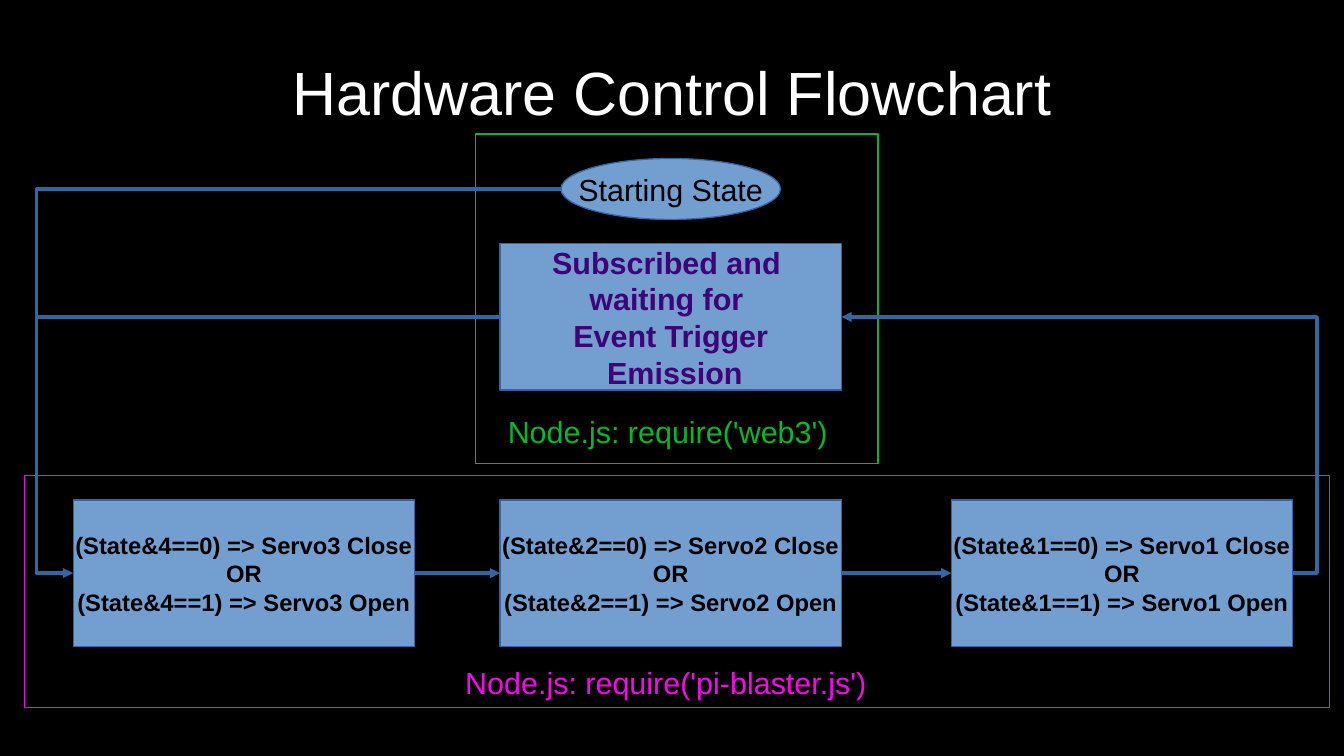
from dataclasses import dataclass

from lxml.etree import SubElement
from pptx import Presentation
from pptx.dml.color import RGBColor
from pptx.enum.shapes import MSO_CONNECTOR, MSO_SHAPE
from pptx.enum.text import MSO_ANCHOR, MSO_AUTO_SIZE, PP_ALIGN
from pptx.oxml.ns import qn
from pptx.util import Pt


@dataclass(frozen=True)
class Theme:
    font: str = "Arial"
    black: str = "000000"
    white: str = "FFFFFF"
    box: str = "729FCF"
    line: str = "3465A4"
    event: str = "410278"
    web: str = "02B82B"
    servo: str = "F809E9"
    title_size: int = 36
    body_size: int = 18
    servo_size: int = 14


THEME = Theme()
SLIDE_W, SLIDE_H = 793.44, 446.4
BOX_W, BOX_H = 201.6, 86.4
EVENT_X, EVENT_Y = 295.2, 144
SERVO_Y = 295.2
SERVO_XS = {3: 43.2, 2: EVENT_X, 1: 561.6}
SERVO_BITS = {3: 4, 2: 2, 1: 1}
START = (331.2, 93.6, 129.6, 36)
LEFT_RAIL, RIGHT_RAIL = 21.6, 777.6


def rgb(value):
    return RGBColor.from_string(value)


def apply(target, values):
    for name, value in values.items():
        setattr(target, name, value)


def write(tf, lines, size, color, bold=False, wrap=True, anchor=MSO_ANCHOR.TOP):
    apply(tf, {
        "auto_size": MSO_AUTO_SIZE.NONE, "word_wrap": wrap, "vertical_anchor": anchor,
        "margin_left": Pt(7.2), "margin_right": Pt(7.2),
        "margin_top": Pt(3.6), "margin_bottom": Pt(3.6),
    })
    for i, line in enumerate(lines):
        p = tf.paragraphs[0] if i == 0 else tf.add_paragraph()
        p.alignment = PP_ALIGN.CENTER
        r = p.add_run()
        r.text = line
        apply(r.font, {"name": THEME.font, "size": Pt(size), "bold": bold})
        r.font.color.rgb = rgb(color)


def add_title(s, text):
    sp = s.shapes.title
    apply(sp, {"left": Pt(0), "top": Pt(28.8), "width": Pt(SLIDE_W), "height": Pt(87.84)})
    write(sp.text_frame, [text], THEME.title_size, THEME.white)


def add_box(s, kind, bounds, fill, line):
    sp = s.shapes.add_shape(kind, *map(Pt, bounds))
    sp.shadow.inherit = False
    sp.fill.solid()
    sp.fill.fore_color.rgb = rgb(fill)
    sp.line.color.rgb = rgb(line)
    sp.line.width = Pt(0)
    return sp


def add_state(s, kind, bounds, lines, size, color, bold=True):
    sp = add_box(s, kind, bounds, THEME.box, THEME.line)
    write(sp.text_frame, lines, size, color, bold, wrap=False, anchor=MSO_ANCHOR.MIDDLE)
    return sp


def add_caption(s, text, top, width, color):
    sp = s.shapes.add_textbox(Pt(0), Pt(top), Pt(width), Pt(47.52))
    write(sp.text_frame, [text], THEME.body_size, color)


def add_line(s, start, end, kind=MSO_CONNECTOR.STRAIGHT, arrow=True):
    cxn = s.shapes.add_connector(kind, *map(Pt, start + end))
    cxn.line.color.rgb = rgb(THEME.line)
    cxn.line.width = Pt(0)
    if arrow:
        SubElement(cxn.line._get_or_add_ln(), qn("a:tailEnd"), type="triangle")
    SubElement(cxn._element.spPr, qn("a:effectLst"))
    return cxn


def add_elbow(s, start, end, rail):
    cxn = add_line(s, start, end, MSO_CONNECTOR.ELBOW)
    bend = round((rail - start[0]) / (end[0] - start[0]) * 100000)
    guides = cxn._element.spPr.find(qn("a:prstGeom")).get_or_add_avLst()
    SubElement(guides, qn("a:gd"), name="adj1", fmla=f"val {bend}")


def main():
    prs = Presentation()
    apply(prs, {"slide_width": Pt(SLIDE_W), "slide_height": Pt(SLIDE_H)})
    s = prs.slides.add_slide(prs.slide_layouts[5])
    s.background.fill.solid()
    s.background.fill.fore_color.rgb = rgb(THEME.black)
    add_title(s, "Hardware Control Flowchart")

    rect = MSO_SHAPE.RECTANGLE
    add_box(s, rect, (280.8, 79.2, 237.6, 194.4), THEME.black, THEME.web)
    add_box(s, rect, (14.4, 280.8, 770.4, 136.8), THEME.black, THEME.servo)

    event = add_state(
        s, rect, (EVENT_X, EVENT_Y, BOX_W, BOX_H),
        ["Subscribed and ", "waiting for ", "Event Trigger", " Emission"],
        THEME.body_size, THEME.event)
    add_state(s, MSO_SHAPE.OVAL, START, ["Starting State"],
              THEME.body_size, THEME.black, bold=False)
    servos = []
    for n, x in SERVO_XS.items():
        test = f"State&{SERVO_BITS[n]}"
        lines = [f"({test}==0) => Servo{n} Close", "OR", f"({test}==1) => Servo{n} Open"]
        servos.append(add_state(s, rect, (x, SERVO_Y, BOX_W, BOX_H), lines,
                                THEME.servo_size, THEME.black))

    servo_mid, event_mid = SERVO_Y + BOX_H / 2, EVENT_Y + BOX_H / 2
    add_elbow(s, (START[0], START[1] + START[3] / 2), (SERVO_XS[3], servo_mid), LEFT_RAIL)
    add_elbow(s, (SERVO_XS[1] + BOX_W, servo_mid), (EVENT_X + BOX_W, event_mid), RIGHT_RAIL)
    for a, b in zip(servos, servos[1:]):
        cxn = add_line(s, (0, servo_mid), (0, servo_mid))
        cxn.begin_connect(a, 3)
        cxn.end_connect(b, 1)
    add_line(s, (EVENT_X, event_mid), (LEFT_RAIL, event_mid),
             arrow=False).begin_connect(event, 1)

    add_caption(s, "Node.js: require('pi-blaster.js')", 388.8, 786.24, THEME.servo)
    add_caption(s, "Node.js: require('web3') ", 240.48, SLIDE_W, THEME.web)
    prs.save("out.pptx")


if __name__ == "__main__":
    main()
